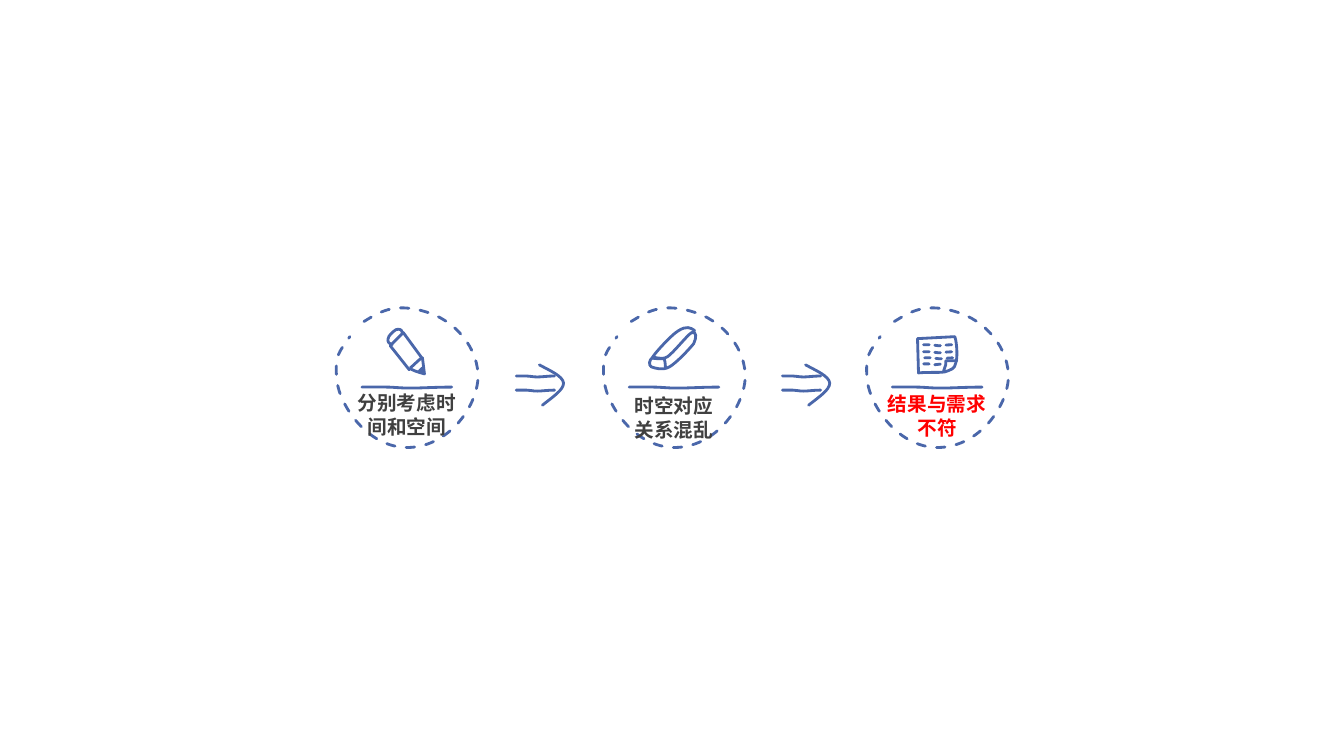
from lxml.etree import SubElement
from pptx import Presentation
from pptx.dml.color import RGBColor
from pptx.enum.dml import MSO_LINE
from pptx.enum.text import MSO_AUTO_SIZE, PP_ALIGN
from pptx.oxml.ns import qn
from pptx.util import Inches, Pt

INK = RGBColor(0x4A, 0x67, 0xAA)
TIP_FILL = RGBColor(0x25, 0x33, 0x55)
UNDERLINE_FILL = RGBColor(0x00, 0x51, 0x88)
GREY = RGBColor(0x40, 0x40, 0x40)
RED = RGBColor(0xFF, 0x00, 0x00)
FONT = "Noto Sans CJK JP"
CURVE_STEPS = 20


def wavy(left, top, length):
    """Outline of a nearly level, hand-drawn line."""
    def at(share):
        return round(left + share * length, 2)

    low = round(top + 0.01, 2)
    return [(left, top),
            (at(0.09), top, at(0.18), top, at(0.27), top),
            (at(0.36), top, at(0.42), low, at(0.54), low),
            (at(0.66), low, at(0.83), top, at(1), top)]


# An outline is a start point, then line ends (x, y) or cubic curves (six numbers).
# All lengths are inches from the corner of the step or arrow.
RING = [(0.27, 0.13), (0.42, 0.04, 0.56, -0.06, 0.87, 0.03),
        (1.17, 0.11, 1.42, 0.4, 1.4, 0.71), (1.37, 1.02, 1.08, 1.38, 0.7, 1.38),
        (0.31, 1.38, 0.03, 0.97, 0, 0.71), (-0.02, 0.46, 0.02, 0.44, 0.13, 0.28)]
UNDERLINE = wavy(0.25, 0.78, 0.89)

PENCIL = [
    ([(0.87, 0.65), (0.8, 0.63, 0.73, 0.61, 0.73, 0.59),
      (0.77, 0.56, 0.83, 0.49, 0.85, 0.49), (0.87, 0.65)], {"closed": True}),
    ([(0.85, 0.5), (0.66, 0.24), (0.53, 0.37), (0.72, 0.61)], {}),
    ([(0.86, 0.64), (0.84, 0.63, 0.82, 0.62, 0.82, 0.62),
      (0.83, 0.61, 0.85, 0.59, 0.85, 0.59), (0.86, 0.64)],
     {"closed": True, "fill": TIP_FILL}),
    ([(0.55, 0.36), (0.52, 0.35, 0.5, 0.33, 0.51, 0.3),
      (0.51, 0.27, 0.57, 0.22, 0.59, 0.21), (0.62, 0.2, 0.65, 0.21, 0.65, 0.24)], {}),
]
ERASER = [
    ([(0.48, 0.49), (0.45, 0.51, 0.44, 0.56, 0.47, 0.58),
      (0.5, 0.59, 0.58, 0.62, 0.65, 0.58), (0.72, 0.54, 0.85, 0.4, 0.89, 0.35),
      (0.92, 0.29, 0.92, 0.22, 0.87, 0.24), (0.83, 0.26, 0.69, 0.44, 0.63, 0.48),
      (0.56, 0.52, 0.5, 0.47, 0.48, 0.49)], {"closed": True}),
    ([(0.61, 0.59), (0.61, 0.54, 0.6, 0.51, 0.6, 0.5),
      (0.59, 0.5, 0.48, 0.5, 0.48, 0.49), (0.48, 0.47, 0.67, 0.26, 0.74, 0.22),
      (0.82, 0.17, 0.86, 0.19, 0.9, 0.22)], {}),
]
PAPER_ROWS = [(0.56, 0.43, 0.28), (0.56, 0.36, 0.28), (0.57, 0.49, 0.28), (0.56, 0.55, 0.19)]
PAPER = [
    ([(0.5, 0.3), (0.51, 0.64), (0.6, 0.63, 0.71, 0.64, 0.77, 0.63),
      (0.83, 0.61, 0.87, 0.6, 0.88, 0.54), (0.9, 0.49, 0.89, 0.33, 0.87, 0.28),
      (0.5, 0.3)], {"closed": True}),
    ([(0.76, 0.62), (0.77, 0.6, 0.77, 0.58, 0.78, 0.56),
      (0.78, 0.55, 0.78, 0.52, 0.78, 0.52), (0.8, 0.52, 0.83, 0.52, 0.84, 0.52),
      (0.86, 0.52, 0.87, 0.52, 0.89, 0.52)], {}),
] + [(wavy(*row), {"dash": MSO_LINE.SQUARE_DOT}) for row in PAPER_ROWS]
ARROW = [
    (wavy(0, 0.11, 0.38), {}),
    (wavy(0, 0.25, 0.38), {}),
    ([(0.23, 0), (0.34, 0.06, 0.46, 0.11, 0.47, 0.18),
      (0.47, 0.25, 0.36, 0.32, 0.26, 0.4)], {}),
]

# Left of the step, top of its caption within the step, icon, caption lines,
# caption colour, fill of the underline
STEPS = [
    (3.34, 0.78, PENCIL, ["分别考虑时间和空间"], GREY, UNDERLINE_FILL),
    (5.99, 0.81, ERASER, ["时空对应", "关系混乱"], GREY, None),
    (8.6, 0.79, PAPER, ["结果与需求不符"], RED, None),
]
STEP_TOP = 3.06
ARROW_LEFTS = [5.12, 7.76]
ARROW_TOP = 3.62


def pairs(segment):
    return list(zip(segment[::2], segment[1::2]))


def bounds(outline):
    """Return the low and high corners that enclose the outline and its curves."""
    points = [outline[0]]
    for segment in outline[1:]:
        if len(segment) == 2:
            points.append(segment)
            continue
        controls = [points[-1]] + pairs(segment)
        for step in range(1, CURVE_STEPS + 1):
            t = step / CURVE_STEPS
            u = 1 - t
            weights = (u ** 3, 3 * u * u * t, 3 * u * t * t, t ** 3)
            points.append(tuple(sum(w * v for w, v in zip(weights, axis))
                                for axis in zip(*controls)))
    xs, ys = zip(*points)
    return (min(xs), min(ys)), (max(xs), max(ys))


def draw_stroke(shapes, left, top, outline, closed=False, fill=None, dash=None):
    low, high = bounds(outline)
    builder = shapes.build_freeform(Inches(left + low[0]), Inches(top + low[1]))
    builder.add_line_segments([(Inches(left + high[0]), Inches(top + high[1]))], close=False)
    stroke = builder.convert_to_shape()
    set_curves(stroke, outline, low, closed)
    stroke.shadow.inherit = False
    if fill is None:
        stroke.fill.background()
    else:
        stroke.fill.solid()
        stroke.fill.fore_color.rgb = fill
    stroke.line.color.rgb = INK
    for name, value in {"width": Pt(2), "dash_style": dash}.items():
        setattr(stroke.line, name, value)
    line_xml = next(stroke.element.iter(qn("a:ln")))
    line_xml.set("cap", "rnd")
    SubElement(line_xml, qn("a:round"))


def set_curves(stroke, outline, corner, closed):
    """Write the outline into the freeform as true lines and cubic curves."""
    geometry = next(stroke.element.iter(qn("a:path")))
    for command in list(geometry):
        geometry.remove(command)
    for index, segment in enumerate(outline):
        kind = "a:moveTo" if index == 0 else "a:lnTo" if len(segment) == 2 else "a:cubicBezTo"
        command = SubElement(geometry, qn(kind))
        for x, y in pairs(segment):
            SubElement(command, qn("a:pt"), x=str(int(Inches(x - corner[0]))),
                       y=str(int(Inches(y - corner[1]))))
    if closed:
        SubElement(geometry, qn("a:close"))


def draw_sketch(slide, left, top, strokes):
    """Draw the strokes of one icon or arrow as a group."""
    group = slide.shapes.add_group_shape()
    for outline, style in strokes:
        draw_stroke(group.shapes, left, top, outline, **style)


def add_caption(slide, left, top, lines, color):
    caption = slide.shapes.add_textbox(Inches(left), Inches(top), Inches(1.13), Inches(0.55))
    frame = caption.text_frame
    frame_format = {"word_wrap": True, "auto_size": MSO_AUTO_SIZE.SHAPE_TO_FIT_TEXT,
                    "margin_left": Inches(0.07), "margin_right": Inches(0.07),
                    "margin_top": Inches(0.04), "margin_bottom": Inches(0.04)}
    for name, value in frame_format.items():
        setattr(frame, name, value)
    for index, line in enumerate(lines):
        paragraph = frame.add_paragraph() if index else frame.paragraphs[0]
        paragraph.alignment = PP_ALIGN.CENTER
        run = paragraph.add_run()
        run.text = line
        for name, value in {"name": FONT, "size": Pt(14), "bold": True}.items():
            setattr(run.font, name, value)
        run.font.color.rgb = color
        SubElement(run._r.get_or_add_rPr(), qn("a:ea"), typeface=FONT)


def add_step(slide, left, top, caption_top, icon, lines, color, underline_fill):
    draw_stroke(slide.shapes, left, top, RING, dash=MSO_LINE.DASH)
    draw_stroke(slide.shapes, left, top, UNDERLINE, fill=underline_fill)
    add_caption(slide, left + 0.13, top + caption_top, lines, color)
    draw_sketch(slide, left, top, icon)


def main():
    deck = Presentation()
    deck.slide_width, deck.slide_height = Inches(13.33), Inches(7.5)
    slide = deck.slides.add_slide(deck.slide_layouts[6])
    for left, *content in STEPS:
        add_step(slide, left, STEP_TOP, *content)
    for left in ARROW_LEFTS:
        draw_sketch(slide, left, ARROW_TOP, ARROW)
    deck.save("out.pptx")


if __name__ == "__main__":
    main()
